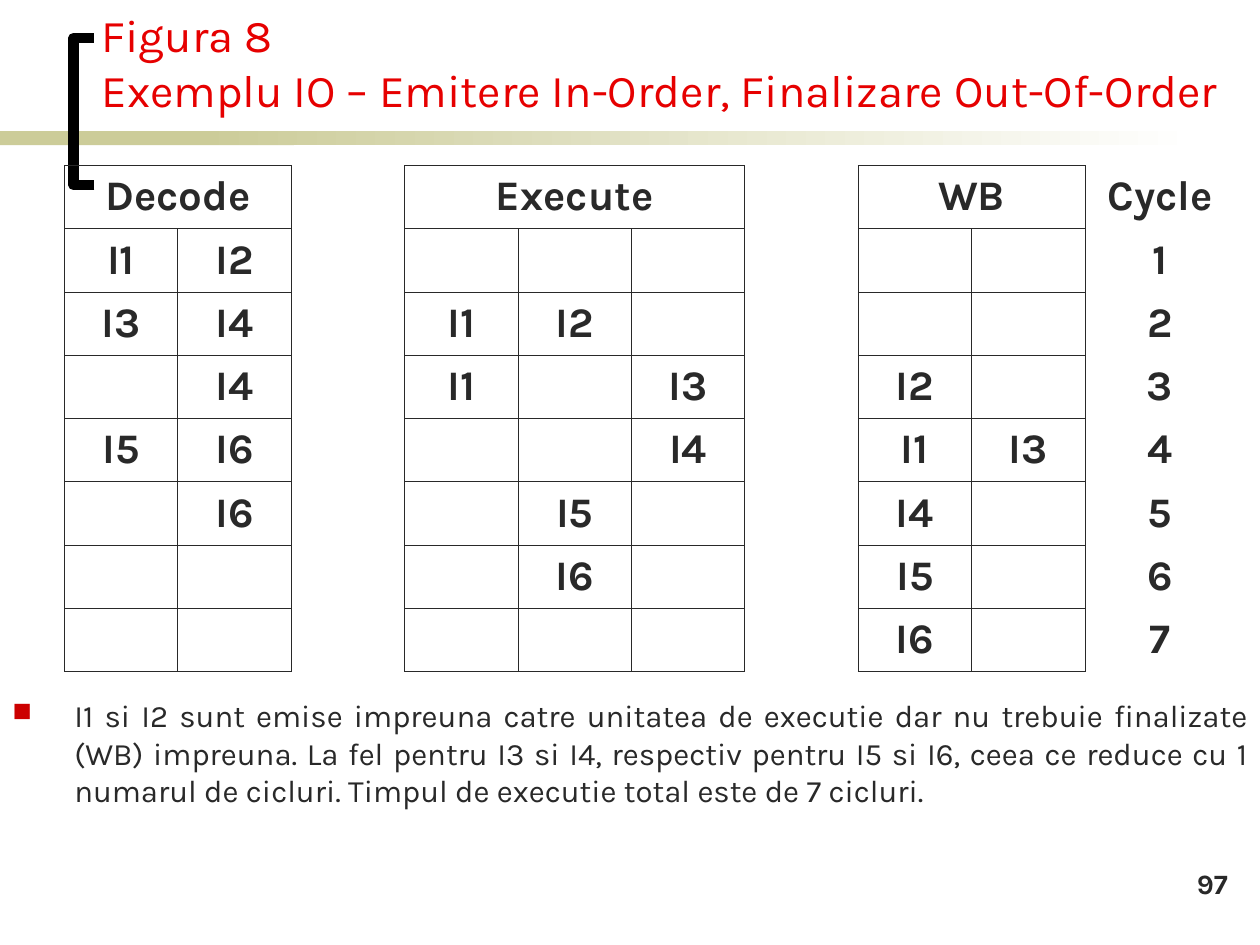
from pptx import Presentation
from pptx.dml.color import RGBColor
from pptx.enum.shapes import MSO_SHAPE
from pptx.enum.text import MSO_ANCHOR, PP_ALIGN
from pptx.oxml.ns import qn
from pptx.util import Pt
from lxml.etree import SubElement, Element

COLORS = {"text": "292929", "title": "E60000", "bullet": "CC0000",
          "band": "CCCC99", "white": "FFFFFF", "black": "000000"}


def rgb(name):
    return RGBColor.from_string(COLORS[name])


def write(tf, text, size=24, color="text", bold=False, align=PP_ALIGN.LEFT,
          bullet=None, indent=0, font="Karla"):
    p = tf.paragraphs[0]
    if bullet:
        pPr = p._p.get_or_add_pPr()
        pPr.set("marL", str(Pt(indent)))
        pPr.set("indent", str(-Pt(indent)))
        clr = SubElement(pPr, qn("a:buClr"))
        SubElement(clr, qn("a:srgbClr"), val=COLORS["bullet"])
        SubElement(pPr, qn("a:buSzPct"), val="85000")
        SubElement(pPr, qn("a:buChar"), char=bullet)
    p.alignment = align
    for i, line in enumerate(text.splitlines()):
        if i:
            p.add_line_break()
        r = p.add_run()
        r.text = line
        r.font.name, r.font.size, r.font.bold = font, Pt(size), bold
        r.font.color.rgb = rgb(color)


class SlideBuilder:
    """Holds the style and the current slide, and adds elements to it."""

    border = 0.45

    def __init__(self, prs):
        self.s = prs.slides.add_slide(prs.slide_layouts[6])

    def text(self, x, y, w, h, text, anchor=MSO_ANCHOR.TOP, **fmt):
        tf = self.s.shapes.add_textbox(Pt(x), Pt(y), Pt(w), Pt(h)).text_frame
        tf.word_wrap = True
        tf.vertical_anchor = anchor
        write(tf, text, **fmt)

    def band(self, x, y, w, h, fade_to=None):
        sp = self.s.shapes.add_shape(MSO_SHAPE.RECTANGLE, Pt(x), Pt(y), Pt(w), Pt(h))
        sp.shadow.inherit = False
        sp.line.fill.background()
        if fade_to:
            sp.fill.gradient()
            sp.fill.gradient_angle = 0
            for stop, name in zip(sp.fill.gradient_stops, ("band", fade_to)):
                stop.color.rgb = rgb(name)
        else:
            sp.fill.solid()
            sp.fill.fore_color.rgb = rgb("band")

    def bracket(self, x, y, w, h, weight):
        fb = self.s.shapes.build_freeform(Pt(x + w), Pt(y + h))
        fb.add_line_segments([(Pt(x), Pt(y + h)), (Pt(x), Pt(y)), (Pt(x + w), Pt(y))],
                             close=False)
        sp = fb.convert_to_shape()
        sp.shadow.inherit = False
        sp.fill.background()
        sp.line.color.rgb = rgb("black")
        sp.line.width = Pt(weight)

    def borders(self, cell, shown):
        tcPr = cell._tc.get_or_add_tcPr()
        for i, side in enumerate("LRTB"):
            ln = Element(qn(f"a:ln{side}"), w=str(Pt(self.border)))
            if side in shown:
                fill = SubElement(ln, qn("a:solidFill"))
                SubElement(fill, qn("a:srgbClr"), val=COLORS["text"])
            else:
                SubElement(ln, qn("a:noFill"))
            tcPr.insert(i, ln)

    def table(self, x, y, widths, row_h, rows, spans, open_cols):
        tbl = self.s.shapes.add_table(len(rows), len(widths), Pt(x), Pt(y),
                                      Pt(sum(widths)), Pt(row_h * len(rows))).table
        tbl.first_row = tbl.horz_banding = False
        for col, w in zip(tbl.columns, widths):
            col.width = Pt(w)
        for r, row in enumerate(rows):
            tbl.rows[r].height = Pt(row_h)
            for c, text in enumerate(row):
                cell = tbl.cell(r, c)
                cell.vertical_anchor = MSO_ANCHOR.MIDDLE
                cell.fill.background()
                self.borders(cell, open_cols.get(c, "LRTB"))
                if text:
                    write(cell.text_frame, text, bold=True, align=PP_ALIGN.CENTER)
        for first, last in spans:
            tbl.cell(0, first).merge(tbl.cell(0, last))


def main():
    prs = Presentation()
    prs.slide_width, prs.slide_height = Pt(720), Pt(540)
    b = SlideBuilder(prs)
    b.band(0, 75, 168, 8)
    b.band(114, 75, 570, 8, fade_to="white")
    b.bracket(42, 21.75, 12, 84, weight=6)
    b.text(51, 26, 705.6, 44,
           "Figura 8\nExemplu IO – Emitere In-Order, Finalizare Out-Of-Order",
           anchor=MSO_ANCHOR.BOTTOM, size=26, color="title")
    b.text(0, 394.6, 720, 96.5,
           "I1 si I2 sunt emise impreuna catre unitatea de executie dar nu trebuie "
           "finalizate (WB) impreuna. La fel pentru I3 si I4, respectiv pentru I5 si I6, "
           "ceea ce reduce cu 1 numarul de cicluri. Timpul de executie total este de "
           "7 cicluri.",
           size=17.8, align=PP_ALIGN.JUSTIFY, bullet="■", indent=35.4)
    stages = [
        ["Decode", "", "", "Execute", "", "", "", "WB", "", "Cycle"],
        ["I1", "I2", "", "", "", "", "", "", "", "1"],
        ["I3", "I4", "", "I1", "I2", "", "", "", "", "2"],
        ["", "I4", "", "I1", "", "I3", "", "I2", "", "3"],
        ["I5", "I6", "", "", "", "I4", "", "I1", "I3", "4"],
        ["", "I6", "", "", "I5", "", "", "I4", "", "5"],
        ["", "", "", "", "I6", "", "", "I5", "", "6"],
        ["", "", "", "", "", "", "", "I6", "", "7"],
    ]
    b.table(36.8, 94.5, [64.8] * 9 + [85.7], 36.15, stages,
            spans=[(0, 1), (3, 5), (7, 8)], open_cols={2: "LR", 6: "LR", 9: "L"})
    b.text(558.7, 491.8, 150, 36, "97", size=16, bold=True, align=PP_ALIGN.RIGHT)
    prs.save("out.pptx")


if __name__ == "__main__":
    main()
